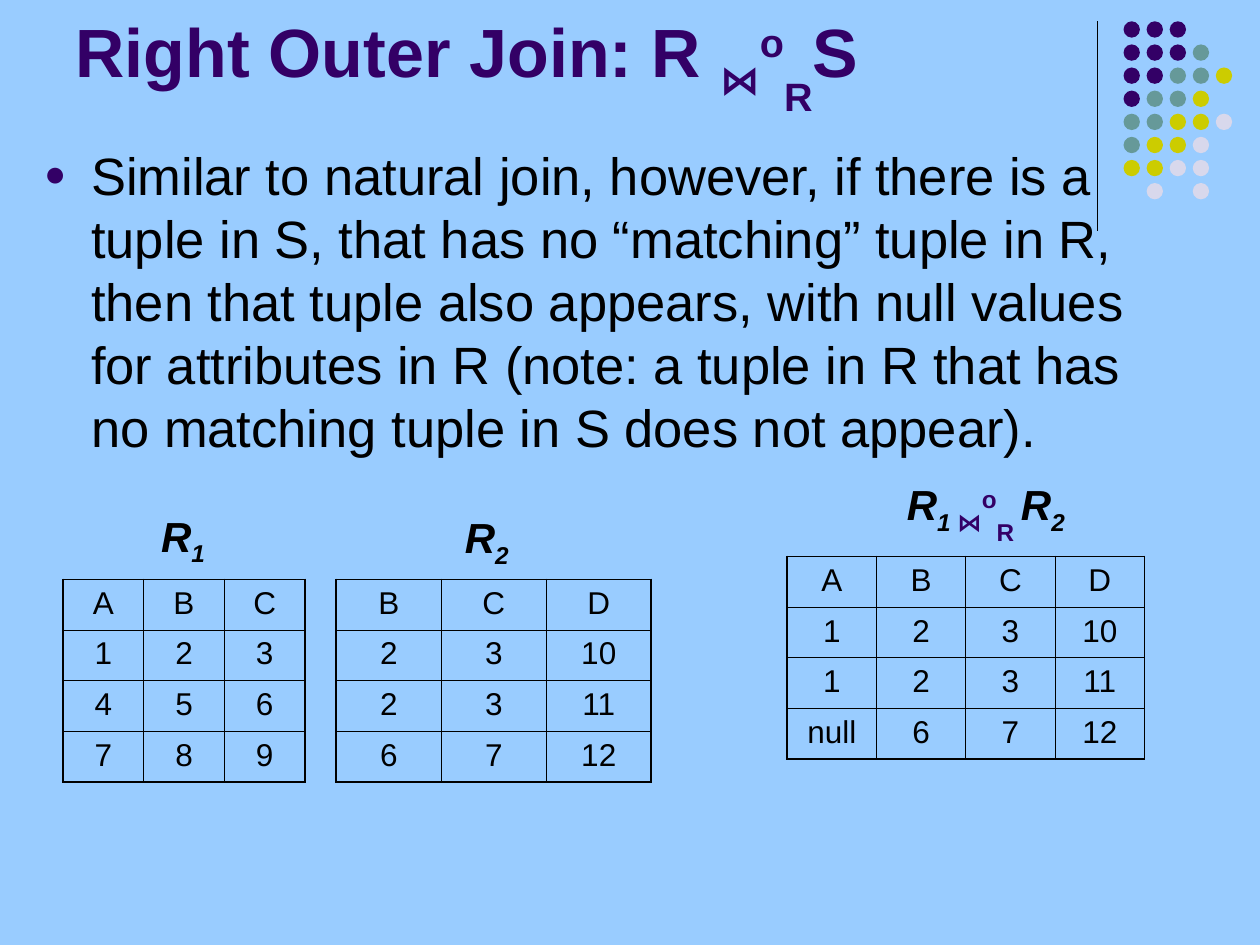
from lxml import etree
from pptx import Presentation, util as u
from pptx.dml.color import RGBColor
from pptx.enum import shapes, text
from pptx.oxml import ns

BLACK, PURPLE = "000000", "330066"
DOT_COLOURS = {"P": PURPLE, "T": "669999", "Y": "CCCC00", "L": "D8D8EC"}
DOT_ROWS = ["PPP", "PPPT", "PPTTY", "PTTY", "TTYYL", "TYYL", "YYLL", " L L"]


def colour(value):
    return RGBColor.from_string(value)


def sub(parent, tag, **attributes):
    return etree.SubElement(parent, ns.qn(tag), **attributes)


def add_run(paragraph, words, size=18, hue=BLACK, bold=False, italic=False, base=0):
    """Add words to a paragraph; base is the raise or drop in percent."""
    run = paragraph.add_run()
    run.text = words
    font = run.font
    font.name, font.size = "Arial", u.Pt(size)
    font.bold, font.italic = bold, italic
    font.color.rgb = colour(hue)
    if base:
        run._r.get_or_add_rPr().set("baseline", str(base * 1000))


class JoinSlide:
    thin, thick = u.Pt(0.45), u.Pt(1.08)
    row_height = 1.02

    def __init__(self, deck):
        self.slide = deck.slides.add_slide(deck.slide_layouts[5])
        fill = self.slide.background.fill
        fill.solid()
        fill.fore_color.rgb = colour("99CCFF")

    def rule(self, x, top, bottom):
        line = self.slide.shapes.add_connector(
            shapes.MSO_CONNECTOR.STRAIGHT, u.Cm(x), u.Cm(top), u.Cm(x), u.Cm(bottom))
        line.line.color.rgb = colour(BLACK)
        line.line.width = u.Pt(0.75)
        sub(line._element.spPr, "a:effectLst")

    def dots(self, left, top, right, bottom, size):
        """Spread the dots evenly; the edges are those of the outermost dots' left and top."""
        across = (right - left) / (max(map(len, DOT_ROWS)) - 1)
        down = (bottom - top) / (len(DOT_ROWS) - 1)
        for row, letters in enumerate(DOT_ROWS):
            for column, letter in enumerate(letters):
                if letter == " ":
                    continue
                dot = self.slide.shapes.add_shape(
                    shapes.MSO_SHAPE.OVAL, u.Cm(left + column * across),
                    u.Cm(top + row * down), u.Cm(size), u.Cm(size))
                dot.shadow.inherit = False
                dot.fill.solid()
                dot.fill.fore_color.rgb = colour(DOT_COLOURS[letter])
                dot.line.fill.background()

    def title(self, left, top, width, height, pieces):
        holder = self.slide.shapes.title
        holder.left, holder.top = u.Cm(left), u.Cm(top)
        holder.width, holder.height = u.Cm(width), u.Cm(height)
        frame = holder.text_frame
        frame.auto_size = text.MSO_AUTO_SIZE.NONE
        frame.vertical_anchor = text.MSO_ANCHOR.BOTTOM
        paragraph = frame.paragraphs[0]
        paragraph.alignment = text.PP_ALIGN.LEFT
        for words, base in pieces:
            add_run(paragraph, words, size=39, hue=PURPLE, bold=True, base=base)

    def box(self, left, top, width, height):
        frame = self.slide.shapes.add_textbox(
            u.Cm(left), u.Cm(top), u.Cm(width), u.Cm(height)).text_frame
        frame.word_wrap = True
        return frame

    def bullet(self, left, top, width, height, words):
        paragraph = self.box(left, top, width, height).paragraphs[0]
        paragraph.line_spacing = u.Pt(36)
        props = paragraph._p.get_or_add_pPr()
        indent = u.Cm(0.95)
        props.set("marL", str(indent))
        props.set("indent", str(-indent))
        sub(sub(props, "a:buClr"), "a:srgbClr", val=PURPLE)
        sub(props, "a:buSzPct", val="70000")
        sub(props, "a:buFont", typeface="Arial")
        sub(props, "a:buChar", char="●")
        add_run(paragraph, words, size=30)

    def label(self, left, top, width, height, pieces):
        frame = self.box(left, top, width, height)
        frame.word_wrap = False
        frame.auto_size = text.MSO_AUTO_SIZE.SHAPE_TO_FIT_TEXT
        for words, look in pieces:
            add_run(frame.paragraphs[0], words,
                    **{"size": 24, "bold": True, "italic": True, **look})

    def border(self, cell, side, width):
        line = sub(cell._tc.get_or_add_tcPr(), f"a:ln{side}", w=str(width))
        sub(sub(line, "a:solidFill"), "a:srgbClr", val=BLACK)

    def relation(self, left, top, width, rows):
        count, columns = len(rows), len(rows[0])
        table = self.slide.shapes.add_table(
            count, columns, u.Cm(left), u.Cm(top), u.Cm(width),
            u.Cm(self.row_height * count)).table
        table.first_row = table.horz_banding = False
        for r, values in enumerate(rows):
            for c, value in enumerate(values):
                cell = table.cell(r, c)
                paragraph = cell.text_frame.paragraphs[0]
                paragraph.alignment = text.PP_ALIGN.CENTER
                add_run(paragraph, value)
                outer = {"L": c == 0, "R": c == columns - 1,
                         "T": r == 0, "B": r == count - 1}
                for side, is_outer in outer.items():
                    self.border(cell, side, self.thick if is_outer else self.thin)
                cell.fill.background()


def main():
    deck = Presentation()
    deck.slide_width, deck.slide_height = u.Cm(25.4), u.Cm(19.05)
    page = JoinSlide(deck)

    # Corner decoration
    page.rule(22.12, 0.43, 4.65)
    page.dots(22.65, 0.43, 24.51, 3.69, size=0.33)

    # Title and definition
    page.title(1.27, 0.33, 20.96, 2.21, [
        ("Right Outer Join: R ", 0), ("⋈", -25), ("o", 30), ("R", -50), ("S", 0)])
    page.bullet(0.64, 2.75, 22.86, 6.78,
                "Similar to natural join, however, if there is a tuple in S, that has no "
                "“matching” tuple in R, then that tuple also appears, with null values for "
                "attributes in R (note: a tuple in R that has no matching tuple in S does "
                "not appear).")

    # Input relations
    low = {"base": -25}
    page.label(3.0, 10.16, 1.4, 1.42, [("R", {}), ("1", low)])
    page.relation(1.27, 11.68, 4.88, ["ABC", "123", "456", "789"])
    page.label(9.12, 10.19, 1.4, 1.42, [("R", {}), ("2", low)])
    page.relation(6.78, 11.68, 6.35, [
        "BCD", ["2", "3", "10"], ["2", "3", "11"], ["6", "7", "12"]])

    # Join result
    sign = {"hue": PURPLE, "italic": False}
    page.label(18.03, 9.53, 3.7, 1.63, [
        ("R", {}), ("1 ", low), ("⋈", {**sign, "base": -25}), ("o", {**sign, "base": 30}),
        ("R ", {**sign, "base": -50}), ("R", {}), ("2", low)])
    page.relation(15.87, 11.22, 7.2, [
        "ABCD", ["1", "2", "3", "10"], ["1", "2", "3", "11"], ["null", "6", "7", "12"]])

    deck.save("out.pptx")


if __name__ == "__main__":
    main()
